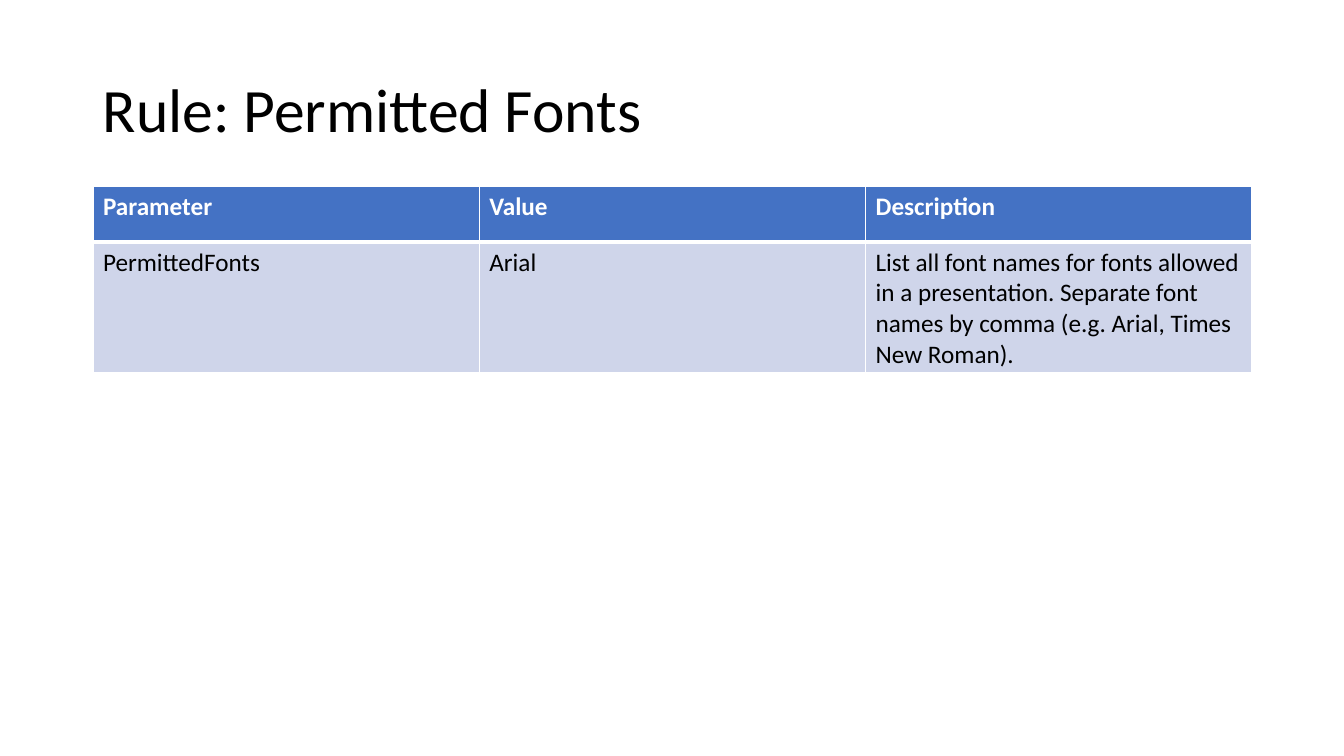
from lxml.etree import SubElement
from pptx import Presentation
from pptx.dml.color import RGBColor as RGB
from pptx.enum.text import MSO_ANCHOR as Anchor
from pptx.oxml.ns import qn
from pptx.util import Emu, Pt

TITLE = "Rule: Permitted Fonts"
ROWS = [
    ("Parameter", "Value", "Description"),
    (
        "PermittedFonts",
        "Arial",
        "List all font names for fonts allowed in a presentation. "
        "Separate font names by comma (e.g. Arial, Times New Roman).",
    ),
]
COLORS = {"ink": "000000", "white": "FFFFFF", "head": "4472C4", "body": "CFD5EA"}
FONT = "Calibri"
HEAD = {"name": FONT, "size": Pt(18), "bold": True}
BODY = {"name": FONT, "size": Pt(18), "bold": False}
BIG = {"name": FONT, "size": Pt(44), "bold": False}

SIZE = (1344, 756)
LEFT, WIDTH = 93, 1159
TITLE_TOP, TABLE_TOP = 40, 186
HEIGHTS = (56, 131)
THIN, THICK = 1, 3


def px(n):
    return Emu(round(n * 914400 / 100.8))


def style(para, form, color):
    for key, value in form.items():
        setattr(para.font, key, value)
    para.font.color.rgb = RGB.from_string(COLORS[color])


def edge(cell, side, width):
    """Draw one white cell border, width in points."""
    line = SubElement(cell._tc.get_or_add_tcPr(), qn("a:ln" + side), w=str(Pt(width)))
    fill = SubElement(line, qn("a:solidFill"))
    SubElement(fill, qn("a:srgbClr"), val=COLORS["white"])


def add_title(slide):
    box = slide.shapes.add_textbox(
        px(LEFT), px(TITLE_TOP), px(WIDTH), px(TABLE_TOP - TITLE_TOP)
    )
    frame = box.text_frame
    frame.word_wrap = True
    frame.vertical_anchor = Anchor.MIDDLE
    para = frame.paragraphs[0]
    para.text = TITLE
    para.line_spacing = 0.9
    style(para, BIG, "ink")


def add_rules(slide):
    table = slide.shapes.add_table(
        len(ROWS), len(ROWS[0]), px(LEFT), px(TABLE_TOP), px(WIDTH), px(sum(HEIGHTS))
    ).table
    for r, (texts, height) in enumerate(zip(ROWS, HEIGHTS)):
        table.rows[r].height = px(height)
        top = r == 0
        form, ink, fill = (HEAD, "white", "head") if top else (BODY, "ink", "body")
        # The line under the header is thick on both sides of the shared edge.
        widths = {"L": THIN, "R": THIN, "T": THIN if top else THICK,
                  "B": THICK if top else THIN}
        for c, text in enumerate(texts):
            cell = table.cell(r, c)
            cell.text = text
            style(cell.text_frame.paragraphs[0], form, ink)
            for side, width in widths.items():
                edge(cell, side, width)
            cell.fill.solid()
            cell.fill.fore_color.rgb = RGB.from_string(COLORS[fill])


def main():
    deck = Presentation()
    deck.slide_width, deck.slide_height = map(px, SIZE)
    slide = deck.slides.add_slide(deck.slide_layouts[6])
    add_title(slide)
    add_rules(slide)
    deck.save("out.pptx")


if __name__ == "__main__":
    main()
